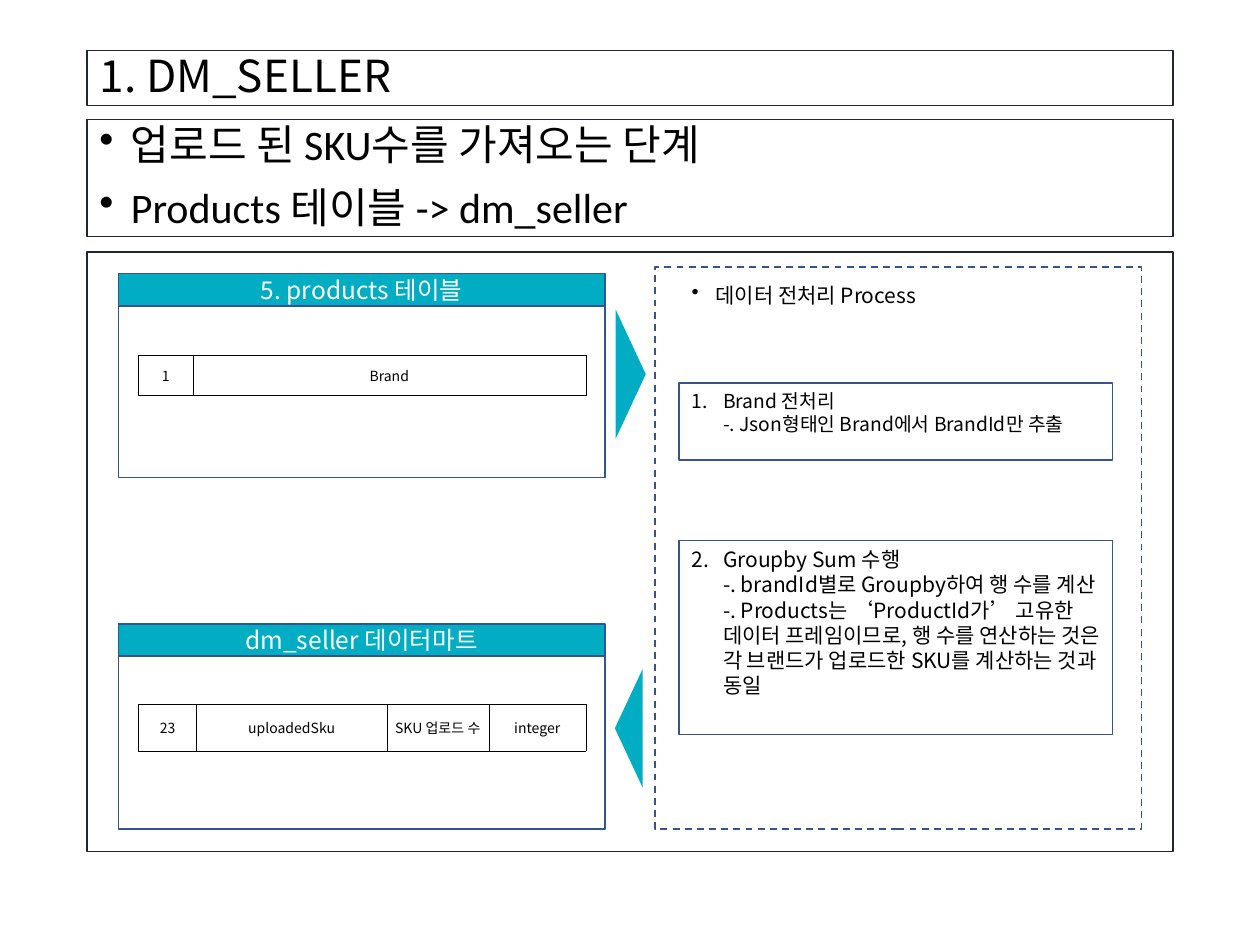
from lxml import etree
from pptx import Presentation
from pptx import util as u
from pptx.dml.color import RGBColor
from pptx.enum import dml, shapes, text
from pptx.oxml.ns import qn

theme = {
    "sans": "Noto Sans CJK KR", "body": "Calibri",
    "ink": RGBColor.from_string("000000"), "white": RGBColor.from_string("FFFFFF"),
    "teal": RGBColor.from_string("00ADC3"), "blue": RGBColor.from_string("325491"),
    "edge": RGBColor.from_string("222633"),
    "title": 25.2, "lead": 24, "head": 14, "note": 12, "step": 11, "cell": 8,
}
LEFT, MID, ROW = text.PP_ALIGN.LEFT, text.PP_ALIGN.CENTER, text.MSO_ANCHOR.MIDDLE

deck = Presentation()
deck.slide_width, deck.slide_height = u.Inches(10), u.Inches(7.5)
UNIT = deck.slide_width // 100  # grid of 100 columns by 75 rows
slide = deck.slides.add_slide(deck.slide_layouts[5])


def box(x, y, w, h, fill=None, line=None, width=1, kind=shapes.MSO_SHAPE.RECTANGLE):
    """Add a preset shape placed in grid columns and rows."""
    item = slide.shapes.add_shape(kind, *(round(n * UNIT) for n in (x, y, w, h)))
    item.shadow.inherit = False
    if fill is None:
        item.fill.background()
    else:
        item.fill.solid()
        item.fill.fore_color.rgb = fill
    if line is None:
        item.line.fill.background()
    else:
        item.line.color.rgb, item.line.width = line, u.Pt(width)
    return item


def write(frame, lines, size, color="ink", face="sans", align=LEFT, mark=None, start=1, indent=0.25):
    """Fill a text frame; mark is a bullet character or "1." for numbers."""
    for i, words in enumerate(lines):
        para = frame.paragraphs[0] if i == 0 else frame.add_paragraph()
        para.text, para.alignment = words, align
        font = para.font
        font.name, font.size, font.color.rgb = theme[face], u.Pt(theme[size]), theme[color]
        if mark:
            props = para._p.get_or_add_pPr()
            props.set("marL", str(u.Inches(indent)))
            props.set("indent", str(-u.Inches(indent)))
            if mark == "1.":
                bullet = etree.Element(qn("a:buAutoNum"), type="arabicPeriod", startAt=str(start))
            else:
                bullet = etree.Element(qn("a:buChar"), char=mark)
            props.insert(list(props).index(props.find(qn("a:defRPr"))), bullet)


# Title, lead and main frame share one column
box(6.9, 20, 86.2, 47.6, line=theme["edge"], width=0.75)
title = slide.shapes.title
title.left, title.top, title.width, title.height = (
    round(n * UNIT) for n in (6.9, 4, 86.2, 4.4))
title.line.color.rgb, title.line.width = theme["edge"], u.Pt(0.75)
title.text_frame.auto_size = text.MSO_AUTO_SIZE.NONE
title.text_frame.vertical_anchor = ROW
write(title.text_frame, ["1. DM_SELLER"], "title")
title.text_frame.paragraphs[0].line_spacing = 0.9

lead = box(6.9, 9.5, 86.2, 9.3, line=theme["edge"], width=0.75).text_frame
lead.vertical_anchor = ROW
write(lead, ["업로드 된 SKU수를 가져오는 단계", "Products 테이블 -> dm_seller"],
      "lead", face="body", mark="•")
for para in lead.paragraphs:
    para.line_spacing, para.space_before = 0.9, u.Pt(10)

# Source table above, data mart below
panels = [
    ("5. products 테이블", 21.7, 13.6, 28.2, 3.2, [("1", 4.3), ("Brand", 31.2)]),
    ("dm_seller 데이터마트", 49.5, 13.7, 55.9, 3.7,
     [("23", 4.6), ("uploadedSku", 15.1), ("SKU 업로드 수", 8.1), ("integer", 7.7)]),
]
for name, top, deep, y, tall, cells in panels:
    head = box(9.4, top, 38.6, 2.6, theme["teal"], theme["blue"]).text_frame
    head.vertical_anchor = ROW
    write(head, [name], "head", "white", align=MID)
    box(9.4, top + 2.6, 38.6, deep, line=theme["blue"])
    table = slide.shapes.add_table(
        1, len(cells), *(round(n * UNIT) for n in (11, y, 35.5, tall))).table
    table.first_row = table.horz_banding = False
    for col, (words, wide) in enumerate(cells):
        table.columns[col].width = round(wide * UNIT)
        cell = table.cell(0, col)
        cell.margin_left = cell.margin_right = cell.margin_top = cell.margin_bottom = 0
        cell.vertical_anchor = ROW
        props = cell._tc.get_or_add_tcPr()
        for side in ("lnL", "lnR", "lnT", "lnB"):
            edge = etree.SubElement(props, qn("a:" + side), w=str(u.Pt(0.25)))
            paint = etree.SubElement(edge, qn("a:solidFill"))
            etree.SubElement(paint, qn("a:srgbClr"), val=str(theme["ink"]))
        cell.fill.background()
        write(cell.text_frame, [words], "cell", align=MID)

# Process column
box(52, 21.2, 38.6, 44.6, line=theme["blue"]).line.dash_style = dml.MSO_LINE.DASH
note = slide.shapes.add_textbox(*(round(n * UNIT) for n in (53.9, 21.9, 20.1, 3))).text_frame
note.word_wrap = False
note.auto_size = text.MSO_AUTO_SIZE.SHAPE_TO_FIT_TEXT
write(note, ["데이터 전처리 Process"], "note", mark="•", indent=0.19)

steps = [
    (30.4, 6.1, "step", "Brand 전처리\n-. Json형태인 Brand에서 BrandId만 추출"),
    (42.9, 15.4, "note",
     "Groupby Sum 수행\n-. brandId별로 Groupby하여 행 수를 계산\n"
     "-. Products는 ‘ProductId가’ 고유한 데이터 프레임이므로, 행 수를 연산하는 것은 "
     "각 브랜드가 업로드한 SKU를 계산하는 것과 동일"),
]
for num, (y, tall, size, words) in enumerate(steps, 1):
    step = box(53.9, y, 34.4, tall, line=theme["blue"]).text_frame
    step.vertical_anchor = text.MSO_ANCHOR.TOP
    write(step, [words], size, mark="1.", start=num)

# Flow into the process and back out
for x, y, w, h, turn in [(44.9, 28.5, 10.3, 2.4, 90), (45.2, 56.7, 9.4, 2.2, 270)]:
    box(x, y, w, h, theme["teal"], kind=shapes.MSO_SHAPE.ISOSCELES_TRIANGLE).rotation = turn

deck.save("out.pptx")
